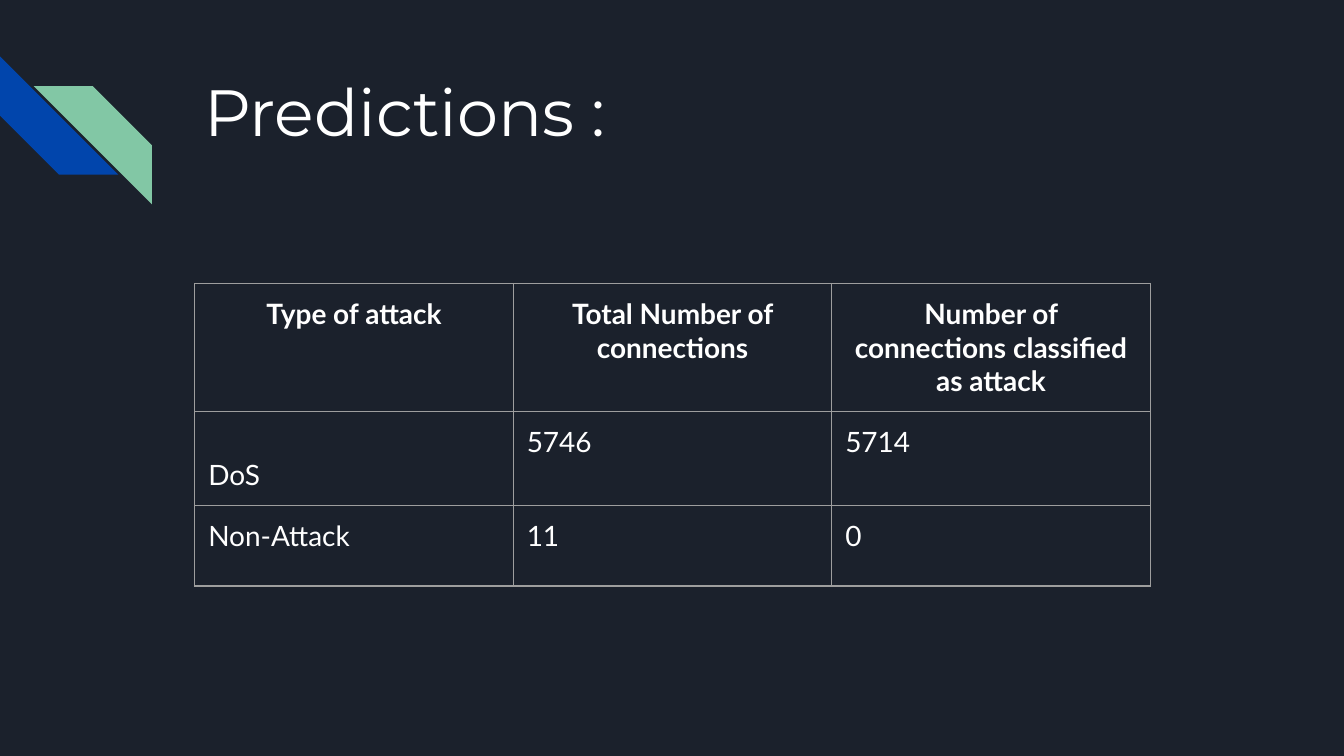
from pptx import Presentation
from pptx.dml.color import RGBColor
from pptx.enum.shapes import MSO_SHAPE
from pptx.enum.text import MSO_ANCHOR, PP_ALIGN
from pptx.oxml import parse_xml
from pptx.oxml.ns import nsdecls
from pptx.util import Inches, Pt

BACKGROUND = RGBColor(0x1B, 0x21, 0x2C)
BLUE = RGBColor(0x01, 0x45, 0xAC)
GREEN = RGBColor(0x82, 0xC7, 0xA5)
WHITE = RGBColor(0xFF, 0xFF, 0xFF)
BORDER = RGBColor(0x9E, 0x9E, 0x9E)

SLIDE_WIDTH = 10
ROWS = [
    ["Type of attack", "Total Number of connections",
     "Number of connections classified as attack"],
    ["DoS", "5746", "5714"],
    ["Non-Attack", "11", "0"],
]
ROW_HEIGHTS = [0.95, 0.7, 0.6]
COLUMN_WIDTH = 2.37


def add_stripe(page, left, top, rotation, color):
    stripe = page.shapes.add_shape(
        MSO_SHAPE.DIAGONAL_STRIPE,
        Inches(left), Inches(top), Inches(0.88), Inches(0.88))
    stripe.rotation = rotation
    stripe.shadow.inherit = False
    stripe.fill.solid()
    stripe.fill.fore_color.rgb = color
    stripe.line.fill.background()


def set_margins(holder):
    holder.margin_left = holder.margin_right = Inches(0.1)
    holder.margin_top = holder.margin_bottom = Inches(0.1)


def add_span(para, text, font, size, bold=False):
    span = para.add_run()
    span.text = text
    span.font.name = font
    span.font.size = Pt(size)
    span.font.bold = bold
    span.font.color.rgb = WHITE


def add_title(page, text):
    box = page.shapes.add_textbox(
        Inches(1.42), Inches(0.43), Inches(7.7), Inches(1))
    frame = box.text_frame
    frame.word_wrap = True
    frame.vertical_anchor = MSO_ANCHOR.TOP
    set_margins(frame)
    add_span(frame.paragraphs[0], text, "Montserrat", 35)


def set_borders(cell):
    properties = cell._tc.get_or_add_tcPr()
    for position, side in enumerate(("lnL", "lnR", "lnT", "lnB")):
        properties.insert(position, parse_xml(
            f'<a:{side} {nsdecls("a")} w="{Pt(0.75)}"><a:solidFill>'
            f'<a:srgbClr val="{BORDER}"/></a:solidFill></a:{side}>'))


def fill_cell(cell, text, is_header):
    cell.fill.background()
    set_margins(cell)
    set_borders(cell)
    para = cell.text_frame.paragraphs[0]
    para.alignment = PP_ALIGN.CENTER if is_header else PP_ALIGN.LEFT
    add_span(para, text, "Lato", 15, is_header)


def add_predictions_table(page):
    columns = len(ROWS[0])
    table = page.shapes.add_table(
        len(ROWS), columns, Inches(1.45), Inches(2.11),
        Inches(COLUMN_WIDTH * columns), Inches(sum(ROW_HEIGHTS))).table
    table.horz_banding = False
    for column in table.columns:
        column.width = Inches(COLUMN_WIDTH)
    for row_index, texts in enumerate(ROWS):
        table.rows[row_index].height = Inches(ROW_HEIGHTS[row_index])
        for column_index, text in enumerate(texts):
            fill_cell(table.cell(row_index, column_index), text, row_index == 0)
    table.cell(1, 0).vertical_anchor = MSO_ANCHOR.BOTTOM


def main():
    deck = Presentation()
    deck.slide_width = Inches(SLIDE_WIDTH)
    deck.slide_height = Inches(SLIDE_WIDTH * 9 / 16)
    page = deck.slides.add_slide(deck.slide_layouts[6])
    page.background.fill.solid()
    page.background.fill.fore_color.rgb = BACKGROUND
    add_stripe(page, 0, 0.42, 270, BLUE)
    add_stripe(page, 0.25, 0.64, 90, GREEN)
    add_title(page, "Predictions :")
    add_predictions_table(page)
    deck.save("out.pptx")


if __name__ == "__main__":
    main()
